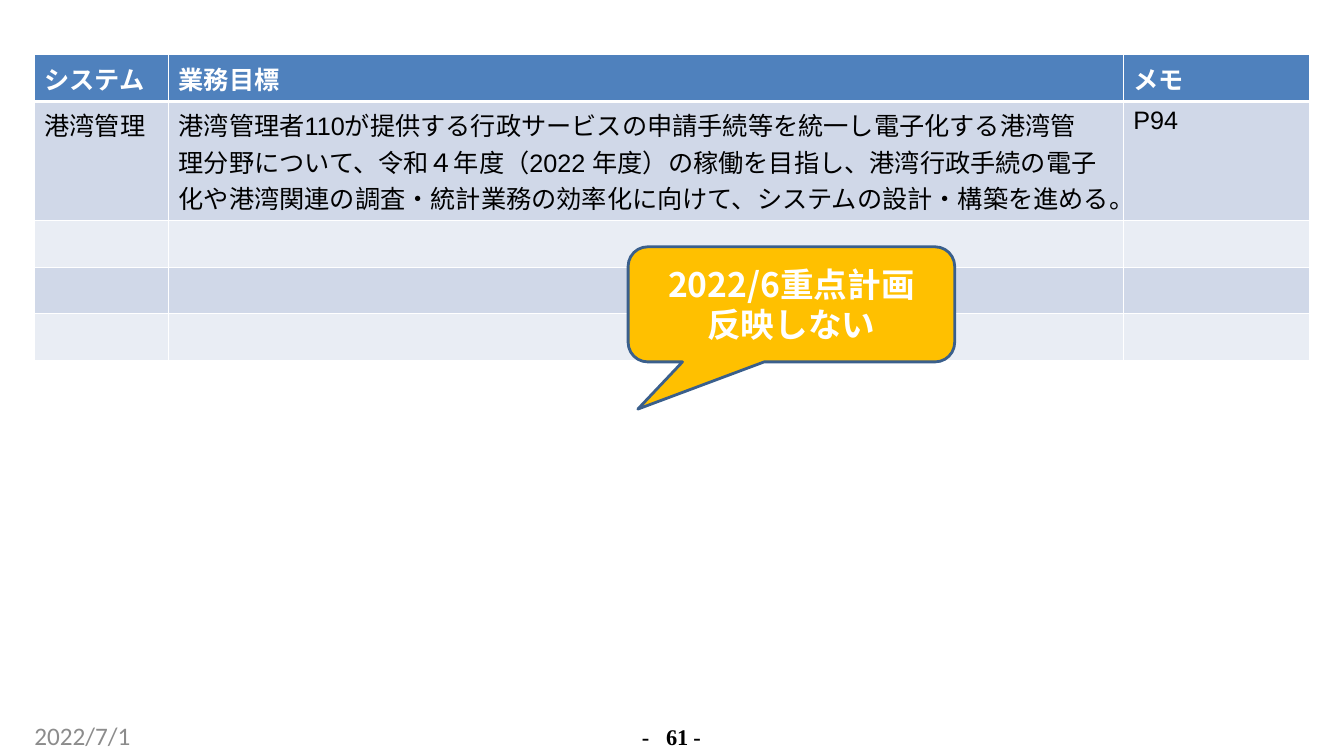
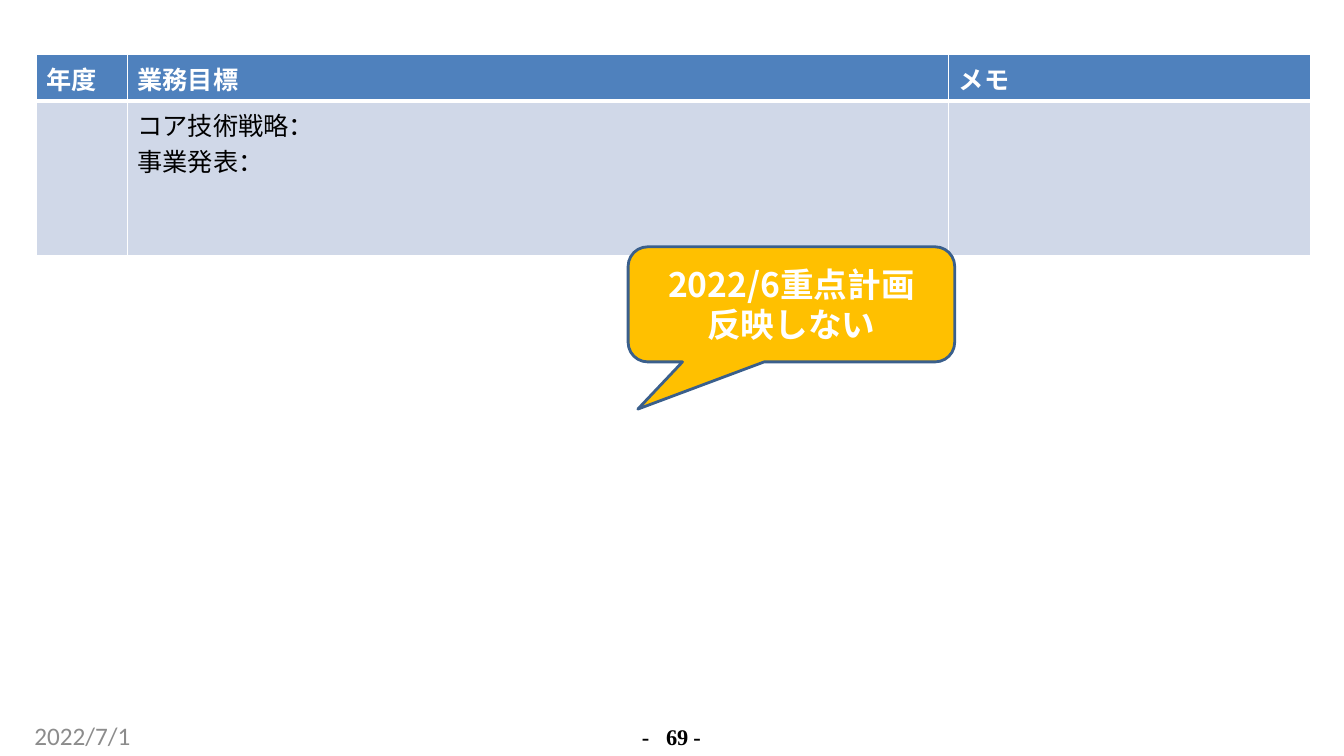
from dataclasses import dataclass

from lxml import etree
from pptx import Presentation
from pptx.dml.color import RGBColor
from pptx.enum.shapes import MSO_SHAPE
from pptx.enum.text import MSO_ANCHOR, PP_ALIGN
from pptx.oxml.ns import qn
from pptx.util import Cm, Pt

CENTER = PP_ALIGN.CENTER
MIDDLE = MSO_ANCHOR.MIDDLE
CALLOUT = MSO_SHAPE.ROUNDED_RECTANGULAR_CALLOUT
BLANK = 6


@dataclass(frozen=True)
class Theme:
    white: str = "FFFFFF"
    black: str = "000000"
    header: str = "4F81BD"
    band_dark: str = "D0D8E8"
    band_light: str = "E9EDF4"
    date: str = "8C8C8C"
    callout: str = "FFC000"
    callout_line: str = "3A5F8C"
    table_font: str = "Arial"
    asian_font: str = "Noto Sans CJK JP"
    date_font: str = "Calibri"
    page_font: str = "Times New Roman"
    body_size: int = 18
    callout_size: int = 24
    page_size: int = 16
    thin: int = 1
    thick: int = 3


T = Theme()
HEADER_HEIGHT = 1.17


def rgb(value):
    return RGBColor.from_string(value)


def write(tf, lines, font, size, color, bold=False, align=None):
    tf.text = "\n".join(lines)
    for p in tf.paragraphs:
        p.alignment = align
        for r in p.runs:
            r.font.name = font
            r.font.size = Pt(size)
            r.font.bold = bold
            r.font.color.rgb = rgb(color)
            latin = r._r.get_or_add_rPr().find(qn("a:latin"))
            ea = etree.Element(qn("a:ea"), typeface=T.asian_font)
            latin.addnext(ea)


def set_borders(cell, top, bottom):
    tc_pr = cell._tc.get_or_add_tcPr()
    sides = (("L", T.thin), ("R", T.thin), ("T", top), ("B", bottom))
    for i, (side, width) in enumerate(sides):
        ln = etree.Element(qn(f"a:ln{side}"), w=str(Pt(width)))
        fill = etree.SubElement(ln, qn("a:solidFill"))
        etree.SubElement(fill, qn("a:srgbClr"), val=T.white)
        tc_pr.insert(i, ln)


def style_cell(cell, row, lines):
    is_header = row == 0
    band = T.band_dark if row % 2 else T.band_light
    cell.fill.solid()
    cell.fill.fore_color.rgb = rgb(T.header if is_header else band)
    set_borders(cell, T.thick if row == 1 else T.thin,
                T.thick if is_header else T.thin)
    if lines:
        write(cell.text_frame, lines, T.table_font, T.body_size,
              T.white if is_header else T.black, is_header)


def add_goal_table(s, left, widths, heights, rows):
    table = s.shapes.add_table(
        len(rows), len(widths), Cm(left), Cm(1.38),
        Cm(sum(widths)), Cm(sum(heights))).table
    for column, width in zip(table.columns, widths):
        column.width = Cm(width)
    for i, (height, row) in enumerate(zip(heights, rows)):
        table.rows[i].height = Cm(height)
        for j, lines in enumerate(row):
            style_cell(table.cell(i, j), i, lines)


def add_callout(s, lines):
    sp = s.shapes.add_shape(CALLOUT, Cm(15.83), Cm(6.22), Cm(8.23), Cm(2.9))
    for i, value in enumerate((-0.47, 0.91, 0.17)):
        sp.adjustments[i] = value
    sp.shadow.inherit = False
    sp.fill.solid()
    sp.fill.fore_color.rgb = rgb(T.callout)
    sp.line.color.rgb = rgb(T.callout_line)
    sp.line.width = Pt(2)
    sp.text_frame.vertical_anchor = MIDDLE
    write(sp.text_frame, lines, T.asian_font, T.callout_size, T.white,
          True, CENTER)


def add_textbox(s, left, top, width, height):
    tf = s.shapes.add_textbox(Cm(left), Cm(top), Cm(width), Cm(height)).text_frame
    tf.word_wrap = True
    tf.margin_left = tf.margin_top = tf.margin_right = tf.margin_bottom = 0
    return tf


def add_footer(s, date, page):
    tf = add_textbox(s, 0.87, 18.14, 7.8, 0.76)
    write(tf, [date], T.date_font, T.body_size, T.date)

    tf = add_textbox(s, 15.83, 18.26, 2.18, 0.64)
    write(tf, [f"-\t{page} -"], T.page_font, T.page_size, T.black, True, CENTER)
    p = tf.paragraphs[0]
    tabs = etree.SubElement(p._p.get_or_add_pPr(), qn("a:tabLst"))
    etree.SubElement(tabs, qn("a:tab"), pos=str(Cm(0.61)), algn="l")
    p.line_spacing = Pt(18.4)
    for r in p.runs:
        r._r.get_or_add_rPr().set("spc", "-10")


def add_goal_slide(prs, page, left, widths, heights, rows):
    s = prs.slides.add_slide(prs.slide_layouts[BLANK])
    add_goal_table(s, left, widths, heights, rows)
    add_footer(s, "2022/7/1", page)
    add_callout(s, ["2022/6重点計画", "反映しない"])


def main():
    prs = Presentation()
    prs.slide_width, prs.slide_height = Cm(33.87), Cm(19.05)

    empty_row = ([], [], [])
    port_goal = [
        "港湾管理者110が提供する行政サービスの申請手続等を統一し電子化する港湾管",
        "理分野について、令和４年度（2022 年度）の稼働を目指し、港湾行政手続の電子化や"
        "港湾関連の調査・統計業務の効率化に向けて、システムの設計・構築を進める。",
    ]
    add_goal_slide(
        prs, 61, 0.87, (3.38, 24.06, 4.7),
        (HEADER_HEIGHT, 3, *[HEADER_HEIGHT] * 3),
        [(["システム"], ["業務目標"], ["メモ"]),
         (["港湾管理"], port_goal, ["P94"]),
         *[empty_row] * 3])
    add_goal_slide(
        prs, 69, 0.92, (2.29, 20.7, 9.12),
        (HEADER_HEIGHT, 3.9),
        [(["年度"], ["業務目標"], ["メモ"]),
         ([], ["コア技術戦略：", "事業発表："], [])])

    prs.save("out.pptx")


if __name__ == "__main__":
    main()
